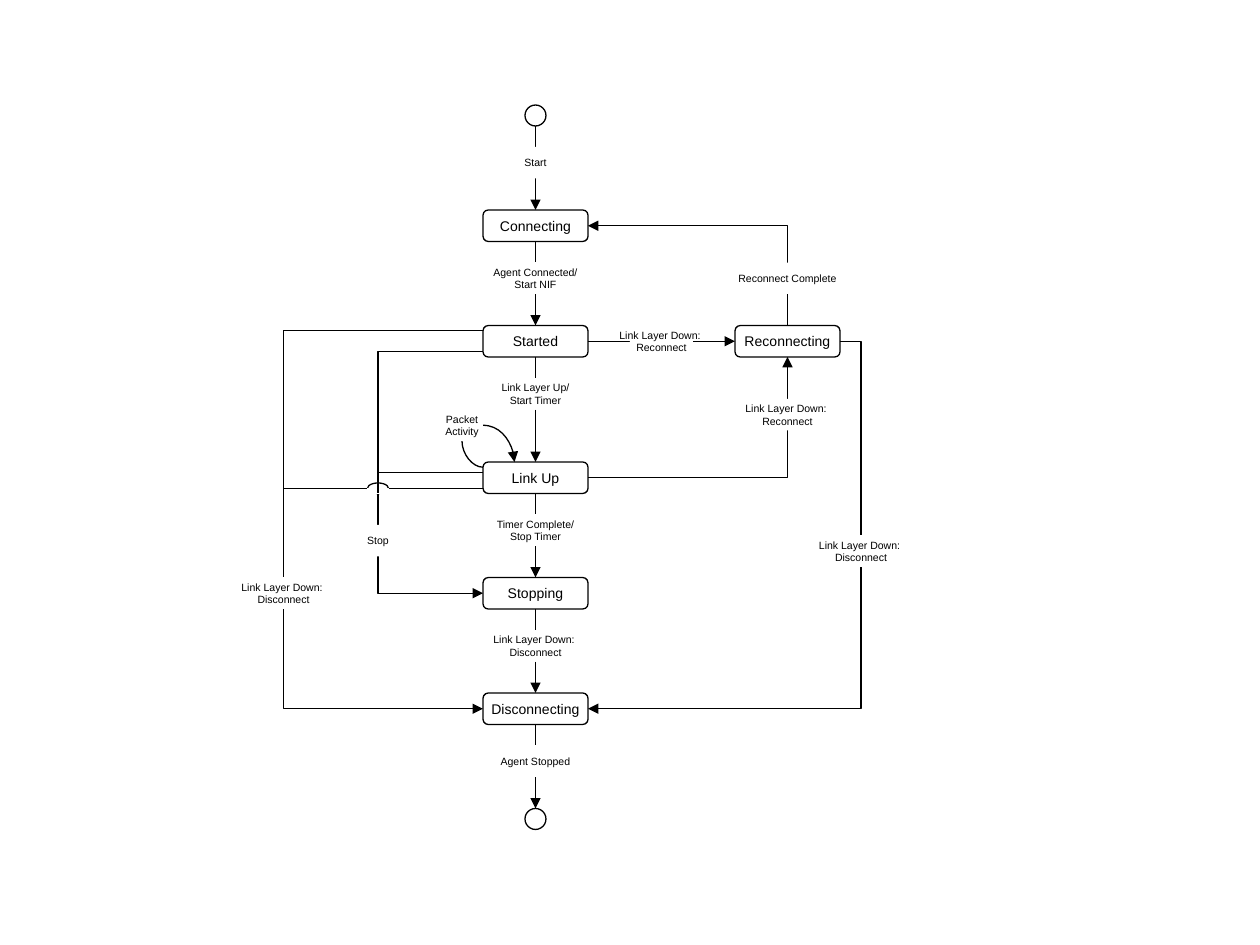
from dataclasses import dataclass

import lxml.etree
import pptx
import pptx.dml.color
import pptx.enum.shapes
import pptx.enum.text
import pptx.oxml.ns
import pptx.util

Pt = pptx.util.Pt
qn = pptx.oxml.ns.qn
Shapes = pptx.enum.shapes.MSO_SHAPE
BLACK = "000000"
WHITE = "FFFFFF"
FONT = "Arial"
LINE_WIDTH = 0.75
STATE_WIDTH, LABEL_WIDTH, HEIGHT = 60, 36, 18
CIRCLE = 12
MAIN_X, RECONNECT_X = 306, 450
STOP_X, LEFT_X, RIGHT_X = 216, 162, 492
STATE_LEFT = MAIN_X - STATE_WIDTH / 2
STATE_RIGHT = MAIN_X + STATE_WIDTH / 2
RECONNECT_Y = 195
LINK_DOWN = "Link Layer Down: "


@dataclass
class State:
    name: str
    center: float
    top: float


@dataclass
class Label:
    lines: list[str]
    center: float
    top: float
    width: float = LABEL_WIDTH


@dataclass
class Link:
    start: tuple[float, float]
    end: tuple[float, float]
    arrow: str = ""
    geometry: str = "line"


def color(value: str) -> pptx.dml.color.RGBColor:
    return pptx.dml.color.RGBColor.from_string(value)


def add_box(page, kind, left: float, top: float, width: float, height: float,
            fill: str = "", line: str = ""):
    box = page.shapes.add_shape(kind, Pt(left), Pt(top), Pt(width), Pt(height))
    box.shadow.inherit = False
    if fill:
        box.fill.solid()
        box.fill.fore_color.rgb = color(fill)
    else:
        box.fill.background()
    if line:
        box.line.color.rgb = color(line)
        box.line.width = Pt(LINE_WIDTH)
    else:
        box.line.fill.background()
    return box


def write_lines(box, lines: list[str], size: float) -> None:
    frame = box.text_frame
    frame.word_wrap = False
    frame.vertical_anchor = pptx.enum.text.MSO_ANCHOR.MIDDLE
    for index, line in enumerate(lines):
        para = frame.add_paragraph() if index else frame.paragraphs[0]
        para.text = line
        para.alignment = pptx.enum.text.PP_ALIGN.CENTER
        para.font.name = FONT
        para.font.size = Pt(size)
        para.font.color.rgb = color(BLACK)


def add_state(page, state: State) -> None:
    box = add_box(page, Shapes.ROUNDED_RECTANGLE, state.center - STATE_WIDTH / 2,
                  state.top, STATE_WIDTH, HEIGHT, line=BLACK)
    box.adjustments[0] = 0.167
    write_lines(box, [state.name], 8)


def add_label(page, label: Label) -> None:
    box = add_box(page, Shapes.RECTANGLE, label.center - label.width / 2,
                  label.top, label.width, HEIGHT, fill=WHITE)
    write_lines(box, label.lines, 6)


def add_link(page, link: Link) -> None:
    connector = page.shapes.add_connector(
        pptx.enum.shapes.MSO_CONNECTOR.STRAIGHT,
        *(Pt(value) for value in link.start + link.end))
    connector.line.color.rgb = color(BLACK)
    connector.line.width = Pt(LINE_WIDTH)
    properties = connector._element.spPr
    properties.find(qn("a:prstGeom")).set("prst", link.geometry)
    if link.arrow:
        outline = properties.find(qn("a:ln"))
        lxml.etree.SubElement(outline, qn(f"a:{link.arrow}End")).set("type", "triangle")
    lxml.etree.SubElement(properties, qn("a:effectLst"))


def bend(start: tuple[float, float], end: tuple[float, float], arrow: str = "") -> Link:
    return Link(start, end, arrow, "bentConnector2")


def curve(start: tuple[float, float], end: tuple[float, float], arrow: str = "") -> Link:
    return Link(start, end, arrow, "curvedConnector2")


def add_hop(page) -> None:
    left = STOP_X - CIRCLE / 2
    add_box(page, Shapes.OVAL, left, 276, CIRCLE, 6, WHITE, BLACK)
    add_box(page, Shapes.RECTANGLE, left, 279, CIRCLE, 3, WHITE, WHITE)
    add_link(page, Link((STOP_X, 276), (STOP_X, 282)))


STATES = [
    State("Connecting", MAIN_X, 120),
    State("Started", MAIN_X, 186),
    State("Link Up", MAIN_X, 264),
    State("Stopping", MAIN_X, 330),
    State("Disconnecting", MAIN_X, 396),
]
RECONNECTING = State("Reconnecting", RECONNECT_X, 186)
CIRCLE_TOPS = [60, 462]

STEPS = [
    ["Start"],
    ["Agent Connected/", "Start NIF"],
    ["Link Layer Up/", "Start Timer"],
    ["Timer Complete/", "Stop Timer"],
    [LINK_DOWN, "Disconnect"],
    ["Agent Stopped"],
]

SIDE_LABELS = [
    Label(["Reconnect Complete"], RECONNECT_X, 150),
    Label([LINK_DOWN, "Reconnect"], 378, 186),
    Label([LINK_DOWN, "Reconnect"], RECONNECT_X, 228),
    Label([LINK_DOWN, "Disconnect"], RIGHT_X, 306),
    Label([LINK_DOWN, "Disconnect"], LEFT_X, 330),
    Label(["Stop"], STOP_X, 300),
    Label(["Packet", "Activity"], 264, 234, 24),
]

SIDE_LINKS = [
    Link((STATE_RIGHT, RECONNECT_Y), (360, RECONNECT_Y)),
    Link((396, RECONNECT_Y), (420, RECONNECT_Y), "tail"),
    Link((RECONNECT_X, 186), (RECONNECT_X, 168)),
    bend((STATE_RIGHT, 129), (RECONNECT_X, 150), "head"),
    bend((STATE_RIGHT, 273), (RECONNECT_X, 246)),
    Link((RECONNECT_X, 228), (RECONNECT_X, 204), "tail"),
    bend((480, RECONNECT_Y), (RIGHT_X, 306)),
    bend((STATE_RIGHT, 405), (RIGHT_X, 324), "head"),
    bend((STATE_LEFT, 189), (LEFT_X, 330)),
    bend((STATE_LEFT, 279), (LEFT_X, 330)),
    bend((STATE_LEFT, 405), (LEFT_X, 348), "head"),
    bend((STATE_LEFT, 201), (STOP_X, 300)),
    bend((STATE_LEFT, 270), (STOP_X, 300)),
    bend((STATE_LEFT, 339), (STOP_X, 318), "head"),
    curve((STATE_LEFT, 267), (264, 252)),
    curve((STATE_LEFT, 243), (294, 264), "tail"),
]


def main() -> None:
    deck = pptx.Presentation()
    deck.slide_width, deck.slide_height = Pt(720), Pt(540)
    page = deck.slides.add_slide(deck.slide_layouts[6])

    for link in SIDE_LINKS:
        add_link(page, link)
    for label in SIDE_LABELS:
        add_label(page, label)

    bottoms = [CIRCLE_TOPS[0] + CIRCLE] + [state.top + HEIGHT for state in STATES]
    tops = [state.top for state in STATES] + [CIRCLE_TOPS[1]]
    for lines, bottom, top in zip(STEPS, bottoms, tops):
        label_top = bottom + 12
        add_link(page, Link((MAIN_X, bottom), (MAIN_X, label_top)))
        add_link(page, Link((MAIN_X, label_top + HEIGHT), (MAIN_X, top), "tail"))
        add_label(page, Label(lines, MAIN_X, label_top))

    for top in CIRCLE_TOPS:
        add_box(page, Shapes.OVAL, MAIN_X - CIRCLE / 2, top, CIRCLE, CIRCLE, line=BLACK)
    for state in STATES + [RECONNECTING]:
        add_state(page, state)
    add_hop(page)
    deck.save("out.pptx")


if __name__ == "__main__":
    main()
